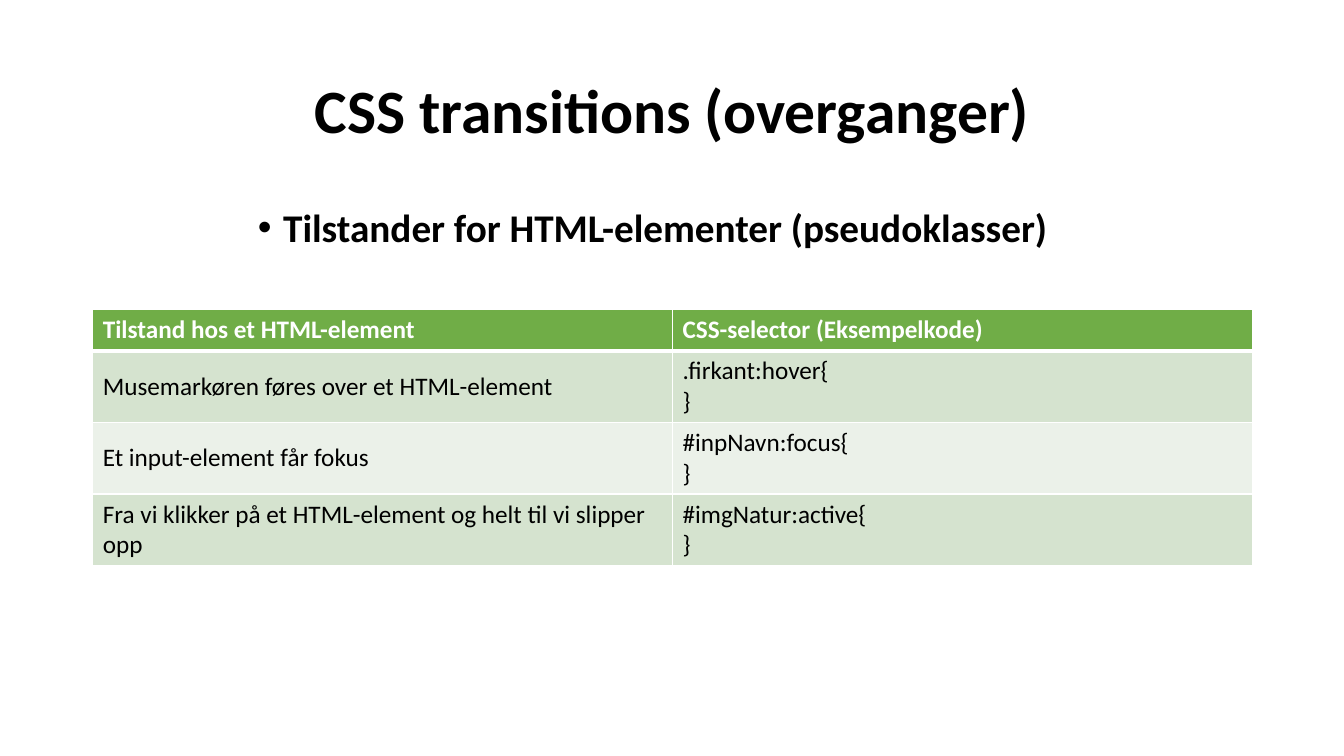
from lxml.etree import SubElement
from pptx import Presentation
from pptx.dml.color import RGBColor
from pptx.enum.text import MSO_ANCHOR as Anchor, PP_ALIGN as Align
from pptx.oxml.ns import qn
from pptx.util import Inches, Pt

TITLE = "CSS transitions (overganger)"
SUBTITLE = "Tilstander for HTML-elementer (pseudoklasser)"
ROWS = [
    (["Tilstand hos et HTML-element"], ["CSS-selector (Eksempelkode)"]),
    (["Musemarkøren føres over et HTML-element"], [".firkant:hover{", "}"]),
    (["Et input-element får fokus"], ["#inpNavn:focus{", "}"]),
    (["Fra vi klikker på et HTML-element og helt til vi slipper opp"],
     ["#imgNatur:active{", "}"]),
]
FONT = "Calibri"
BLACK, WHITE, GREEN = "000000", "FFFFFF", "70AD47"
BANDS = ["EBF1E9", "D5E3CF"]
WIDTH, HEIGHT = 13.33, 7.5
MARGIN = 0.92
CONTENT_WIDTH = 11.5
HEADER_HEIGHT, BODY_HEIGHT = 0.41, 0.7


def color(value):
    return RGBColor.from_string(value)


def add_span(para, text, size, ink, bold):
    span = para.add_run()
    span.text = text
    span.font.name = FONT
    span.font.size = Pt(size)
    span.font.bold = bold
    span.font.color.rgb = color(ink)


def add_line(page, place, text, size, anchor):
    box = page.shapes.add_textbox(*[Inches(part) for part in place])
    box.text_frame.word_wrap = True
    box.text_frame.vertical_anchor = anchor
    para = box.text_frame.paragraphs[0]
    para.line_spacing = 0.9
    add_span(para, text, size, BLACK, True)
    return para


def add_bullet(para):
    props = para._p.get_or_add_pPr()
    props.set("marL", str(Inches(0.25)))
    props.set("indent", str(-Inches(0.25)))
    SubElement(props, qn("a:buFont"), typeface="Arial")
    SubElement(props, qn("a:buChar"), char="•")


def add_border(cell, side, width):
    props = cell._tc.get_or_add_tcPr()
    line = SubElement(props, qn(f"a:ln{side}"), w=str(Pt(width)))
    fill = SubElement(line, qn("a:solidFill"))
    SubElement(fill, qn("a:srgbClr"), val=WHITE)


def fill_cell(cell, lines, row):
    header = row == 0
    widths = {"L": 1, "R": 1, "T": 3 if row == 1 else 1, "B": 3 if header else 1}
    for side, width in widths.items():
        add_border(cell, side, width)
    cell.fill.solid()
    cell.fill.fore_color.rgb = color(GREEN if header else BANDS[row % 2])
    cell.vertical_anchor = Anchor.MIDDLE
    frame = cell.text_frame
    for index, text in enumerate(lines):
        para = frame.add_paragraph() if index else frame.paragraphs[0]
        add_span(para, text, 18, WHITE if header else BLACK, header)


def add_states(page):
    heights = [HEADER_HEIGHT] + [BODY_HEIGHT] * (len(ROWS) - 1)
    place = (MARGIN, 3.07, CONTENT_WIDTH, sum(heights))
    frame = page.shapes.add_table(len(ROWS), 2, *[Inches(part) for part in place])
    for row, (height, texts) in enumerate(zip(heights, ROWS)):
        frame.table.rows[row].height = Inches(height)
        for column, lines in enumerate(texts):
            fill_cell(frame.table.cell(row, column), lines, row)


def main():
    deck = Presentation()
    deck.slide_width, deck.slide_height = Inches(WIDTH), Inches(HEIGHT)
    page = deck.slides.add_slide(deck.slide_layouts[6])
    add_states(page)
    title = add_line(page, (MARGIN, 0.4, CONTENT_WIDTH, 1.45), TITLE, 44, Anchor.MIDDLE)
    title.alignment = Align.CENTER
    subtitle = add_line(page, (2.46, 2.02, 8.42, 0.88), SUBTITLE, 28, Anchor.TOP)
    subtitle.space_before = Pt(10)
    add_bullet(subtitle)
    deck.save("out.pptx")


if __name__ == "__main__":
    main()
